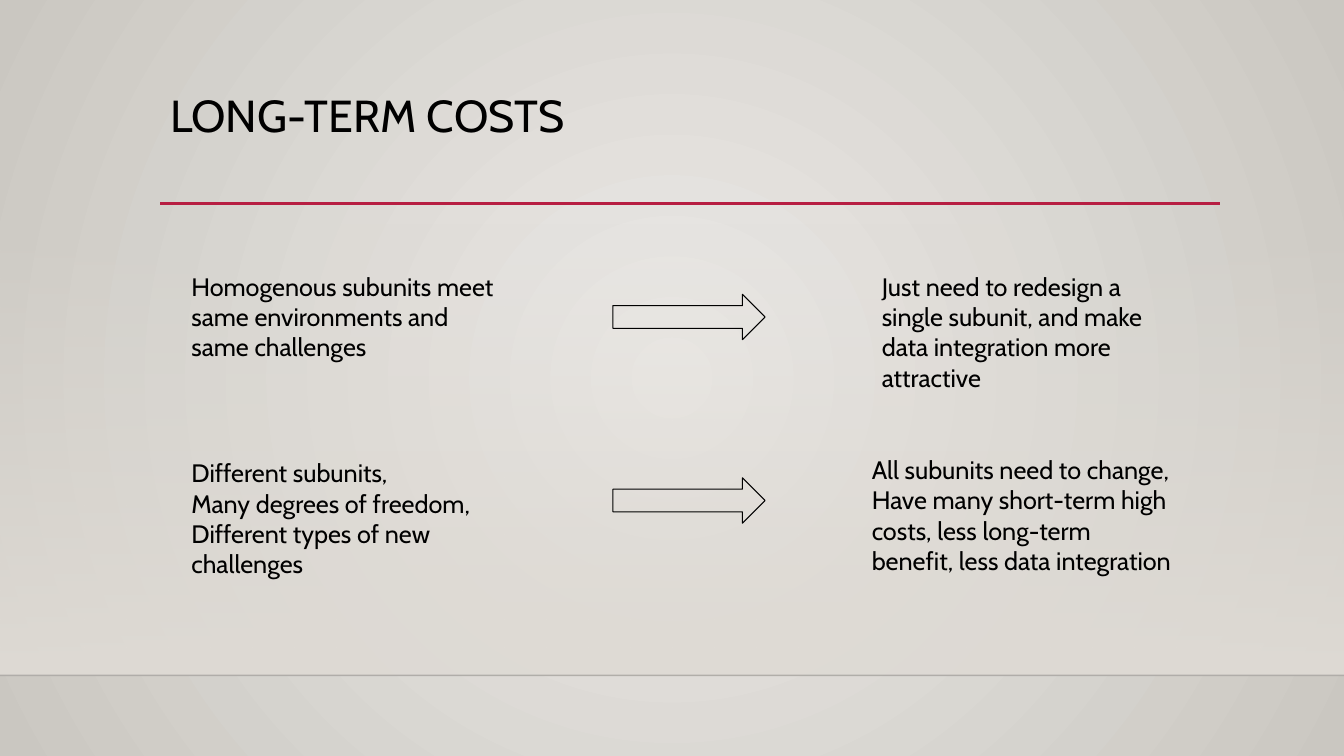
from dataclasses import dataclass

from pptx import Presentation
from pptx.dml.color import RGBColor as RGB
from pptx.enum.shapes import MSO_CONNECTOR as CONNECTOR, MSO_SHAPE as SHAPE
from pptx.enum.text import MSO_ANCHOR as ANCHOR
from pptx.oxml import parse_xml
from pptx.oxml.ns import nsdecls, qn
from pptx.util import Pt


@dataclass(frozen=True)
class Theme:
    """Colours, font and type sizes of the slide."""
    ink: str = "000000"
    accent: str = "B71E42"
    floor_line: str = "000001"
    panel: str = "DFDBD5"
    center: str = "ECEAE7"
    edge: str = "CAC7C1"
    font: str = "Cabin"
    title_size: float = 32
    body_size: float = 18


THEME = Theme()


def apply(target, values):
    """Set each named attribute on the target."""
    for name, value in values.items():
        setattr(target, name, value)


def set_alpha(color, percent):
    """Give an srgbClr element an opacity."""
    color.append(parse_xml(f'<a:alpha {nsdecls("a")} val="{percent * 1000}"/>'))


def add_gradient(fill, colors):
    """Fill with a two-stop gradient."""
    fill.gradient()
    for stop, color, position in zip(fill.gradient_stops, colors, (0, 1)):
        stop.color.rgb = RGB.from_string(color)
        stop.position = position


def paint_background(s):
    """Paint a radial gradient behind the slide."""
    add_gradient(s.background.fill, (THEME.center, THEME.edge))
    grad = s.element.find(".//" + qn("a:gradFill"))
    circle = parse_xml(
        f'<a:path {nsdecls("a")} path="circle">'
        '<a:fillToRect l="50000" t="50000" r="50000" b="50000"/></a:path>')
    grad.replace(grad.find(qn("a:lin")), circle)


def add_panel(s, x, y, w, h):
    """Add a panel that fades in from top to bottom."""
    sp = s.shapes.add_shape(SHAPE.RECTANGLE, Pt(x), Pt(y), Pt(w), Pt(h))
    sp.shadow.inherit = False
    sp.line.fill.background()
    add_gradient(sp.fill, (THEME.panel, THEME.panel))
    sp.fill.gradient_angle = 270
    set_alpha(sp.element.find(".//" + qn("a:srgbClr")), 0)


def add_rule(s, x1, x2, y, color, width, opacity=100):
    """Add a horizontal line."""
    rule = s.shapes.add_connector(CONNECTOR.STRAIGHT, Pt(x1), Pt(y), Pt(x2), Pt(y))
    rule.line.color.rgb = RGB.from_string(color)
    rule.line.width = Pt(width)
    if opacity < 100:
        set_alpha(rule.element.find(".//" + qn("a:srgbClr")), opacity)
    rule.element.spPr.append(parse_xml(f'<a:effectLst {nsdecls("a")}/>'))


def add_arrow(s, x, y, w, h):
    """Add an outlined right arrow."""
    sp = s.shapes.add_shape(SHAPE.RIGHT_ARROW, Pt(x), Pt(y), Pt(w), Pt(h))
    sp.shadow.inherit = False
    sp.fill.background()
    sp.line.color.rgb = RGB.from_string(THEME.ink)
    sp.line.width = Pt(0.75)


def add_text(s, x, y, w, h, paragraphs, size, spacing=1.0):
    """Add a wrapped text box with one run per paragraph."""
    tf = s.shapes.add_textbox(Pt(x), Pt(y), Pt(w), Pt(h)).text_frame
    apply(tf, {"word_wrap": True, "vertical_anchor": ANCHOR.TOP})
    for i, text in enumerate(paragraphs):
        p = tf.paragraphs[0] if i == 0 else tf.add_paragraph()
        p.line_spacing = spacing
        r = p.add_run()
        r.text = text
        apply(r.font, {"name": THEME.font, "size": Pt(size)})
        r.font.color.rgb = RGB.from_string(THEME.ink)


def main():
    """Build the slide and save it."""
    prs = Presentation()
    apply(prs, {"slide_width": Pt(960), "slide_height": Pt(540)})
    s = prs.slides.add_slide(prs.slide_layouts[6])

    paint_background(s)
    add_panel(s, 0, 159.1, 960, 323.3)
    add_rule(s, 0, 960, 482.4, THEME.floor_line, 1, opacity=20)
    add_rule(s, 114.5, 871.2, 145.4, THEME.accent, 2.5)
    add_text(s, 114.5, 63.4, 756, 82.8, ["LONG-TERM COSTS"], THEME.title_size, 0.9)

    rows = [
        (210.2, 72.7,
         (129.6, 190.1, ["Homogenous subunits meet", "same environments and",
                         "same challenges"]),
         (622.8, 190.1, ["Just need to redesign a single subunit, and make "
                         "data integration more attractive"])),
        (341.3, 94.3,
         (129.6, 323.3, ["Different subunits,",
                         "Many degrees of freedom, Different types of new challenges"]),
         (615.6, 321.1, ["All subunits need to change, Have many short-term high "
                         "costs, less long-term benefit, less data integration"])),
    ]
    for arrow_y, height, *texts in rows:
        add_arrow(s, 437.8, arrow_y, 108.7, 32.4)
        for x, y, paragraphs in texts:
            add_text(s, x, y, 231.8, height, paragraphs, THEME.body_size)

    prs.save("out.pptx")


if __name__ == "__main__":
    main()
